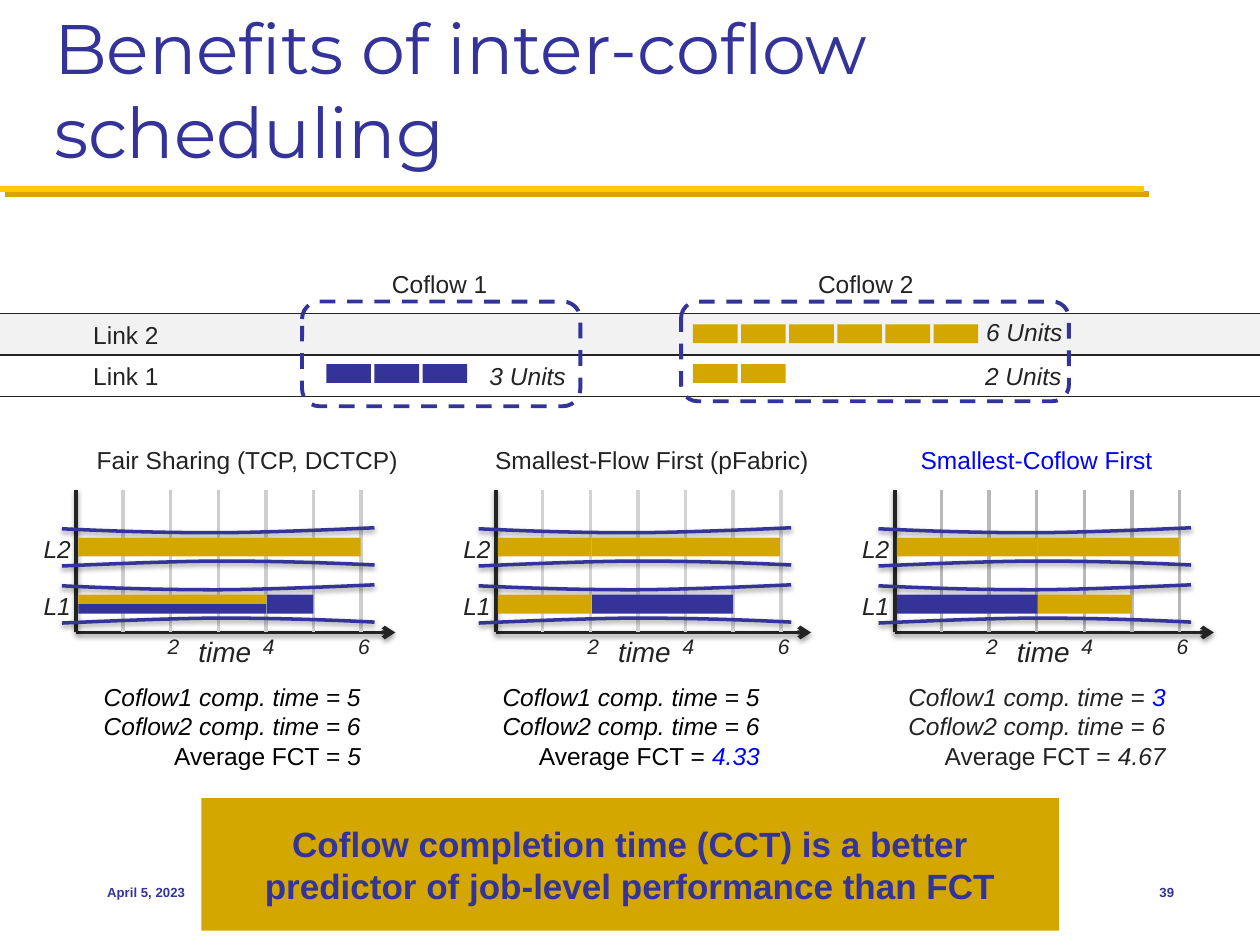
from dataclasses import dataclass

from lxml import etree
from pptx import Presentation
from pptx.dml.color import RGBColor
from pptx.enum.dml import MSO_LINE
from pptx.enum.shapes import MSO_CONNECTOR, MSO_SHAPE
from pptx.enum.text import MSO_ANCHOR, PP_ALIGN
from pptx.oxml.ns import qn
from pptx.util import Cm, Pt

STRAIGHT = MSO_CONNECTOR.STRAIGHT
RECT, ROUND_RECT = MSO_SHAPE.RECTANGLE, MSO_SHAPE.ROUNDED_RECTANGLE
LEFT, CENTER, RIGHT = PP_ALIGN.LEFT, PP_ALIGN.CENTER, PP_ALIGN.RIGHT
TOP, MIDDLE, BOTTOM = MSO_ANCHOR.TOP, MSO_ANCHOR.MIDDLE, MSO_ANCHOR.BOTTOM
DASH = MSO_LINE.DASH

COLORS = {
    "navy": "333399", "gold": "D3A600", "yellow": "FFCB05", "ink": "232323",
    "black": "000000", "blue": "0000FF", "band": "F2F2F2",
    "grid1": "CECECE", "grid2": "D3D3D3", "grid3": "B9B9B9",
}
BASE = {"name": "Arial", "size": Pt(14), "color": "ink"}
ITALIC = {"italic": True}
FOOTER = {"size": Pt(7.5), "bold": True, "color": "navy"}
SOFT_SHADOW = ("black", 38, 3.1, 1.6, 90)
RULE_SHADOW = ("gold", 100, 0, 4.2, 45)

GRID_STEP, BAR_UNIT, BAR_H = 0.96, 0.95, 0.38
AXIS_TOP, AXIS_Y = 9.87, 12.75
ROW_Y = {"L2": 10.64, "L1": 11.79}
PIPE_CURVE = [(0, 0.02), (1.03, 0.07), (2.06, 0.1), (3.1, 0.1),
              (4.17, 0.1), (6.3, 0), (6.3, 0)]


@dataclass
class Bar:
    row: str
    start: int
    units: int
    color: str
    top: float = 0
    share: float = 1


@dataclass
class Panel:
    x: float
    axis_w: float
    pipe_x: float
    grid: str
    title: str
    title_x: float
    title_w: float
    title_color: str
    result_x: float
    result: list
    bars: list


@dataclass
class Coflow:
    name: str
    label: tuple
    frame: tuple
    x: float
    color: str
    flows: list


def rgb(name: str) -> RGBColor:
    return RGBColor.from_string(COLORS[name])


def write(tf, paragraphs: list, fmt: dict, align=LEFT, anchor=TOP, wrap=False) -> None:
    tf.word_wrap, tf.vertical_anchor = wrap, anchor
    for i, runs in enumerate(paragraphs):
        p = tf.add_paragraph() if i else tf.paragraphs[0]
        p.alignment = align
        for text, extra in runs:
            r = p.add_run()
            r.text = text
            values = {**BASE, **fmt, **extra}
            r.font.color.rgb = rgb(values.pop("color"))
            for key, value in values.items():
                setattr(r.font, key, value)


def add_text(s, box: tuple, content, fmt: dict, **layout) -> None:
    paragraphs = [[(content, {})]] if isinstance(content, str) else content
    sp = s.shapes.add_textbox(*map(Cm, box))
    write(sp.text_frame, paragraphs, fmt, **layout)


def add_effects(sp, shadow: tuple | None) -> None:
    effects = etree.SubElement(sp.element.spPr, qn("a:effectLst"))
    if shadow:
        color, alpha, blur, dist, angle = shadow
        outer = etree.SubElement(effects, qn("a:outerShdw"), blurRad=str(Pt(blur)),
                                 dist=str(Pt(dist)), dir=str(angle * 60000), rotWithShape="0")
        clr = etree.SubElement(outer, qn("a:srgbClr"), val=COLORS[color])
        etree.SubElement(clr, qn("a:alpha"), val=str(alpha * 1000))


def add_line(s, ends: tuple, color: str, width: float, shadow=None, arrow=False) -> None:
    sp = s.shapes.add_connector(STRAIGHT, *map(Cm, ends))
    sp.line.color.rgb, sp.line.width = rgb(color), Pt(width)
    if arrow:
        etree.SubElement(sp.element.spPr.find(qn("a:ln")), qn("a:tailEnd"), type="arrow")
    add_effects(sp, shadow)


def add_box(s, box: tuple, fill=None, line=None, width=0.75, kind=RECT):
    sp = s.shapes.add_shape(kind, *map(Cm, box))
    sp.shadow.inherit = False
    if fill:
        sp.fill.solid()
        sp.fill.fore_color.rgb = rgb(fill)
    else:
        sp.fill.background()
    if line:
        sp.line.color.rgb, sp.line.width = rgb(line), Pt(width)
    else:
        sp.line.fill.background()
    return sp


def add_pipe_edge(s, x: float, y: float, rotation: int) -> None:
    points = [(Cm(x + dx), Cm(y + dy)) for dx, dy in PIPE_CURVE]
    builder = s.shapes.build_freeform(*points[0])
    builder.add_line_segments(points[1:], close=False)
    sp = builder.convert_to_shape()
    outline = sp.element.spPr.find(".//" + qn("a:path"))
    segments = outline.findall(qn("a:lnTo"))
    for i in range(0, len(segments), 3):
        curve = etree.SubElement(outline, qn("a:cubicBezTo"))
        for segment in segments[i:i + 3]:
            curve.append(segment[0])
            outline.remove(segment)
    sp.rotation = rotation
    sp.fill.background()
    sp.line.color.rgb, sp.line.width = rgb("navy"), Pt(2)
    add_effects(sp, SOFT_SHADOW)


def add_panel(s, panel: Panel) -> None:
    x = panel.x
    add_line(s, (x, AXIS_Y, x + panel.axis_w, AXIS_Y), "ink", 2.25, SOFT_SHADOW, arrow=True)
    add_line(s, (x, AXIS_Y, x, AXIS_TOP), "ink", 2.25, SOFT_SHADOW)
    for k in range(1, 7):
        grid_x = x + k * GRID_STEP - 0.02
        add_line(s, (grid_x, AXIS_TOP, grid_x, AXIS_Y), panel.grid, 2)
    add_text(s, (x + 2.21, 12.67, 1.6, 0.94), "time", {"size": Pt(16), **ITALIC})
    for k in (2, 4, 6):
        add_text(s, (x + k * GRID_STEP - 0.33, 12.65, 0.74, 0.76), str(k),
                 {"size": Pt(12), **ITALIC})
    for name, y in ROW_Y.items():
        add_pipe_edge(s, panel.pipe_x, y, 0)
        add_pipe_edge(s, panel.pipe_x, y + 0.67, 180)
        add_text(s, (x - 0.91, y, 1.07, 0.86), name, ITALIC)
    for b in panel.bars:
        add_box(s, (x + 0.04 + b.start * BAR_UNIT, ROW_Y[b.row] + 0.2 + b.top * BAR_H,
                    b.units * BAR_UNIT - 0.01, b.share * BAR_H), b.color)
    add_text(s, (panel.title_x, 8.85, panel.title_w, 0.86), panel.title,
             {"color": panel.title_color})
    add_text(s, (panel.result_x, 13.62, 5.72, 2.06), panel.result, {}, align=RIGHT)


def add_coflow(s, c: Coflow) -> None:
    sp = add_box(s, c.frame, line="navy", width=2.25, kind=ROUND_RECT)
    sp.line.dash_style = DASH
    add_text(s, c.label, c.name, {}, align=CENTER, wrap=True)
    for count, y, text_box in c.flows:
        for i in range(count):
            add_box(s, (c.x + i * 0.97, y, 0.9, BAR_H), c.color)
        add_text(s, text_box, f"{count} Units", ITALIC, align=RIGHT)


def results(cct1: str, fct: str, color: str, cct1_color: str, fct_color: str) -> list:
    slant = {"color": color, **ITALIC}
    return [
        [("Coflow1 comp. time = ", slant), (cct1, {**slant, "color": cct1_color})],
        [("Coflow2 comp. time = 6", slant)],
        [("Average FCT = ", {"color": color}), (fct, {**slant, "color": fct_color})],
    ]


PANELS = [
    Panel(1.54, 6.43, 1.25, "grid1", "Fair Sharing (TCP, DCTCP)", 1.7, 6.6, "ink", 1.81,
          results("5", "5", "black", "black", "black"),
          [Bar("L2", 0, 6, "gold"), Bar("L1", 0, 4, "gold", 0, 0.5),
           Bar("L1", 0, 4, "navy", 0.5, 0.5), Bar("L1", 4, 1, "navy")]),
    Panel(10, 6.35, 9.65, "grid2", "Smallest-Flow First (pFabric)", 9.73, 6.86, "ink", 9.85,
          results("5", "4.33", "black", "black", "blue"),
          [Bar("L2", 0, 2, "gold"), Bar("L2", 2, 4, "gold"),
           Bar("L1", 0, 2, "gold"), Bar("L1", 2, 3, "navy")]),
    Panel(18.04, 6.43, 17.71, "grid3", "Smallest-Coflow First", 18.31, 5.21, "blue", 18.03,
          results("3", "4.67", "ink", "blue", "ink"),
          [Bar("L2", 0, 3, "gold"), Bar("L2", 3, 3, "gold"),
           Bar("L1", 0, 3, "navy"), Bar("L1", 3, 2, "gold")]),
]
COFLOWS = [
    Coflow("Coflow 1", (6.07, 5.3, 5.59, 0.86), (6.09, 6.08, 5.61, 2.11), 6.58, "navy",
           [(3, 7.34, (9.6, 7.15, 2.06, 0.86))]),
    Coflow("Coflow 2", (13.72, 5.3, 7.47, 0.86), (13.73, 6.08, 7.82, 2.01), 13.97, "gold",
           [(6, 6.54, (19.61, 6.27, 2.06, 0.86)), (2, 7.34, (19.59, 7.15, 2.06, 0.86))]),
]


def main() -> None:
    prs = Presentation()
    prs.slide_width, prs.slide_height = Cm(25.4), Cm(19.05)
    s = prs.slides.add_slide(prs.slide_layouts[6])
    add_line(s, (0, 3.81, 23.06, 3.81), "yellow", 3.5, RULE_SHADOW)
    add_text(s, (0.84, 0.43, 23.7, 3.18), "Benefits of inter-coflow scheduling",
             {"name": "Montserrat", "size": Pt(40), "color": "navy"}, anchor=BOTTOM, wrap=True)
    for panel in PANELS:
        add_panel(s, panel)
    for name, y, fill in (("Link 1", 7.16, None), ("Link 2", 6.32, "band")):
        sp = add_box(s, (-0.43, y, 26.24, 0.84), fill, "ink")
        sp.text_frame.margin_left = Cm(2.31)
        write(sp.text_frame, [[(name, {})]], {}, anchor=MIDDLE, wrap=True)
    for coflow in COFLOWS:
        add_coflow(s, coflow)
    add_text(s, (1.91, 17.35, 5.28, 1.27), "April 5, 2023", FOOTER, anchor=MIDDLE, wrap=True)
    sp = add_box(s, (4.06, 16.09, 17.29, 2.67), "gold")
    tf = sp.text_frame
    tf.margin_left = tf.margin_right = Cm(0.38)
    message = "Coflow completion time (CCT) is a better predictor of job-level performance than FCT"
    write(tf, [[(message, {})]], {"size": Pt(20), "bold": True, "color": "navy"},
          align=CENTER, anchor=MIDDLE, wrap=True)
    add_text(s, (22.22, 17.35, 1.7, 1.27), "39", FOOTER, align=RIGHT, anchor=MIDDLE, wrap=True)
    prs.save("out.pptx")


if __name__ == "__main__":
    main()
